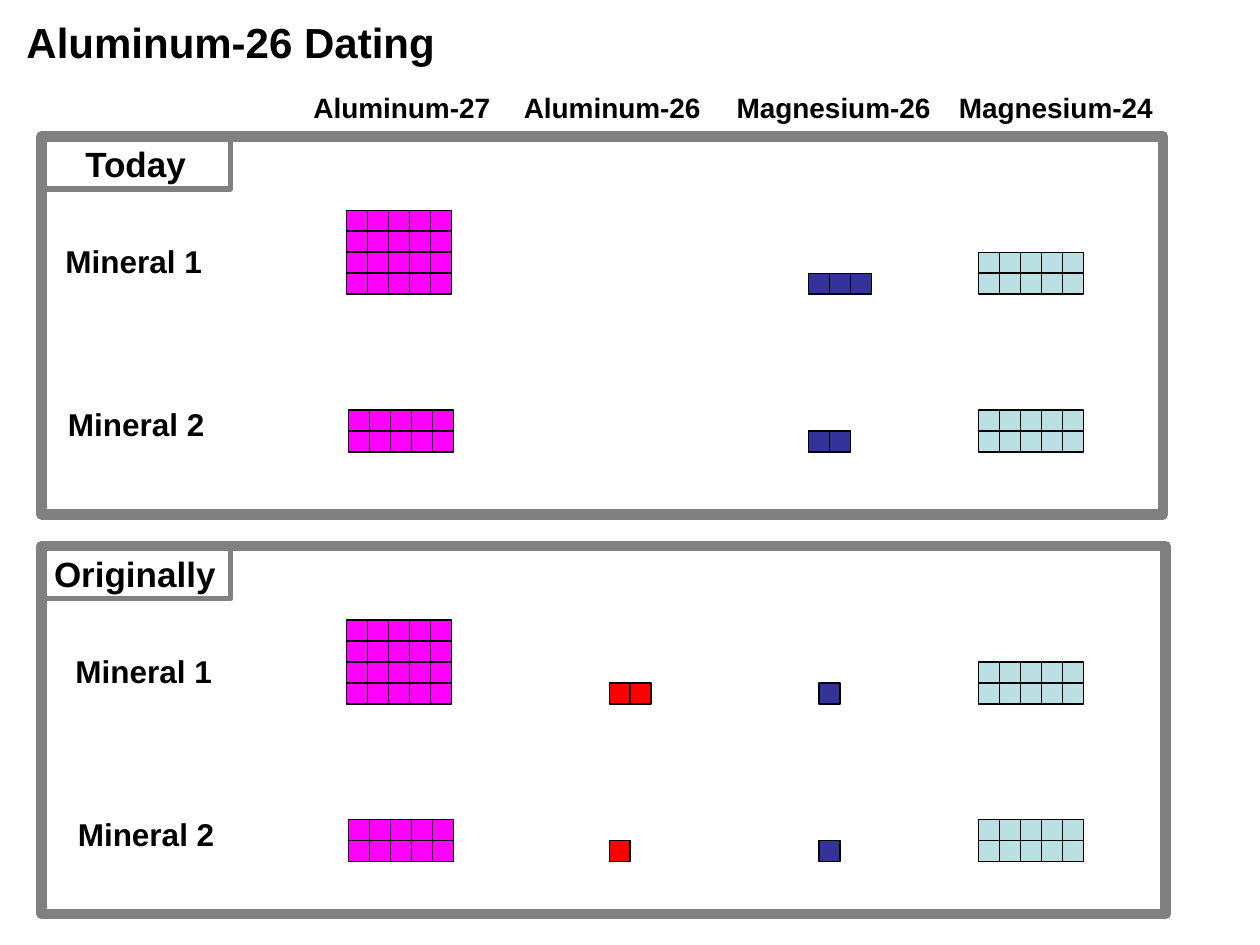
from pptx import Presentation
from pptx.dml.color import RGBColor
from pptx.enum import shapes, text
from pptx.util import Cm, Pt

COLORS = {
    "text": "000000", "frame": "808080", "cell_edge": "000000",
    "Aluminum-27": "FF00FF", "Aluminum-26": "FF0000",
    "Magnesium-26": "333399", "Magnesium-24": "BBE0E3",
}

# Content; all lengths are in centimetres
TITLE = "Aluminum-26 Dating"
HEADINGS = [  # isotope, left, width
    ("Aluminum-27", 6.07, 4.06),
    ("Aluminum-26", 10.31, 4.06),
    ("Magnesium-26", 14.6, 4.42),
    ("Magnesium-24", 19.08, 4.42),
]
PANELS = [
    {"name": "Today", "name_left": 1.47, "name_width": 2.59,
     "top": 2.75, "width": 22.61, "height": 7.62, "mineral_left": 1.07,
     "minerals": [
         ("Mineral 1", [("Aluminum-27", 20, 6.99), ("Magnesium-26", 3, 16.3),
                        ("Magnesium-24", 10, 19.73)]),
         ("Mineral 2", [("Aluminum-27", 10, 7.03), ("Magnesium-26", 2, 16.3),
                        ("Magnesium-24", 10, 19.73)]),
     ]},
    {"name": "Originally", "name_left": 0.84, "name_width": 3.76,
     "top": 11.01, "width": 22.66, "height": 7.42, "mineral_left": 1.27,
     "minerals": [
         ("Mineral 1", [("Aluminum-27", 20, 6.99), ("Aluminum-26", 2, 12.28),
                        ("Magnesium-26", 1, 16.51), ("Magnesium-24", 10, 19.73)]),
         ("Mineral 2", [("Aluminum-27", 10, 7.03), ("Aluminum-26", 1, 12.28),
                        ("Magnesium-26", 1, 16.51), ("Magnesium-24", 10, 19.73)]),
     ]},
]
PANEL_LEFT = 0.84
TAG_SIZE = (3.81, 1.06)
CELL = 2.54 / 6
CELLS_PER_ROW = 5
FIRST_BASE, BASE_STEP = 3.18, 3.18   # bottom of the stacks below a panel's top
FIRST_LABEL, LABEL_STEP = 2.0, 3.3   # top of the mineral names below it
LABEL_INDENT = 0.05


def color(key):
    return RGBColor.from_string(COLORS[key])


def place(item, left, top, width, height):
    item.left, item.top = Cm(left), Cm(top)
    item.width, item.height = Cm(width), Cm(height)


def write(item, words, size, wrap=False):
    frame = item.text_frame
    frame.text = words
    frame.word_wrap = wrap
    frame.auto_size = text.MSO_AUTO_SIZE.NONE
    frame.vertical_anchor = text.MSO_ANCHOR.TOP
    paragraph = frame.paragraphs[0]
    paragraph.alignment = text.PP_ALIGN.LEFT
    font = paragraph.runs[0].font
    font.name, font.size, font.bold = "Arial", Pt(size), True
    font.color.rgb = color("text")


def add_label(slide, words, size, left, top, width, height):
    box = slide.shapes.add_textbox(Cm(left), Cm(top), Cm(width), Cm(height))
    write(box, words, size)


def add_rectangle(slide, left, top, width, height, edge, weight, fill=None):
    rectangle = slide.shapes.add_shape(
        shapes.MSO_SHAPE.RECTANGLE, Cm(left), Cm(top), Cm(width), Cm(height))
    rectangle.shadow.inherit = False
    rectangle.line.color.rgb = color(edge)
    rectangle.line.width = Pt(weight)
    if fill:
        rectangle.fill.solid()
        rectangle.fill.fore_color.rgb = color(fill)
    else:
        rectangle.fill.background()


def add_stack(slide, isotope, count, left, base):
    """Stack the cells upwards from the base, filling each row from the left."""
    for index in range(count):
        row, column = divmod(index, CELLS_PER_ROW)
        add_rectangle(slide, left + column * CELL, base - (row + 1) * CELL,
                      CELL, CELL, "cell_edge", 0.75, isotope)


def add_panel(slide, panel):
    top = panel["top"]
    add_rectangle(slide, PANEL_LEFT, top, panel["width"], panel["height"], "frame", 6)
    add_rectangle(slide, PANEL_LEFT, top, *TAG_SIZE, "frame", 3)
    add_label(slide, panel["name"], 20, panel["name_left"], top, panel["name_width"], 1.12)
    for number, (mineral, stacks) in enumerate(panel["minerals"]):
        add_label(slide, mineral, 18, panel["mineral_left"] + number * LABEL_INDENT,
                  top + FIRST_LABEL + number * LABEL_STEP, 3.25, 1.02)
        base = top + FIRST_BASE + number * BASE_STEP
        for isotope, count, left in stacks:
            add_stack(slide, isotope, count, left, base)


def main():
    deck = Presentation()
    deck.slide_width, deck.slide_height = Cm(25.4), Cm(19.05)
    slide = deck.slides.add_slide(deck.slide_layouts[5])

    # Title and column headings
    title = slide.shapes.title
    place(title, 0.28, 0.2, 9.25, 1.27)
    write(title, TITLE, 24, wrap=True)
    for isotope, left, width in HEADINGS:
        add_label(slide, isotope, 16, left, 1.7, width, 0.94)

    # Framed panels with their stacks of cells
    for panel in PANELS:
        add_panel(slide, panel)

    deck.save("out.pptx")


if __name__ == "__main__":
    main()
